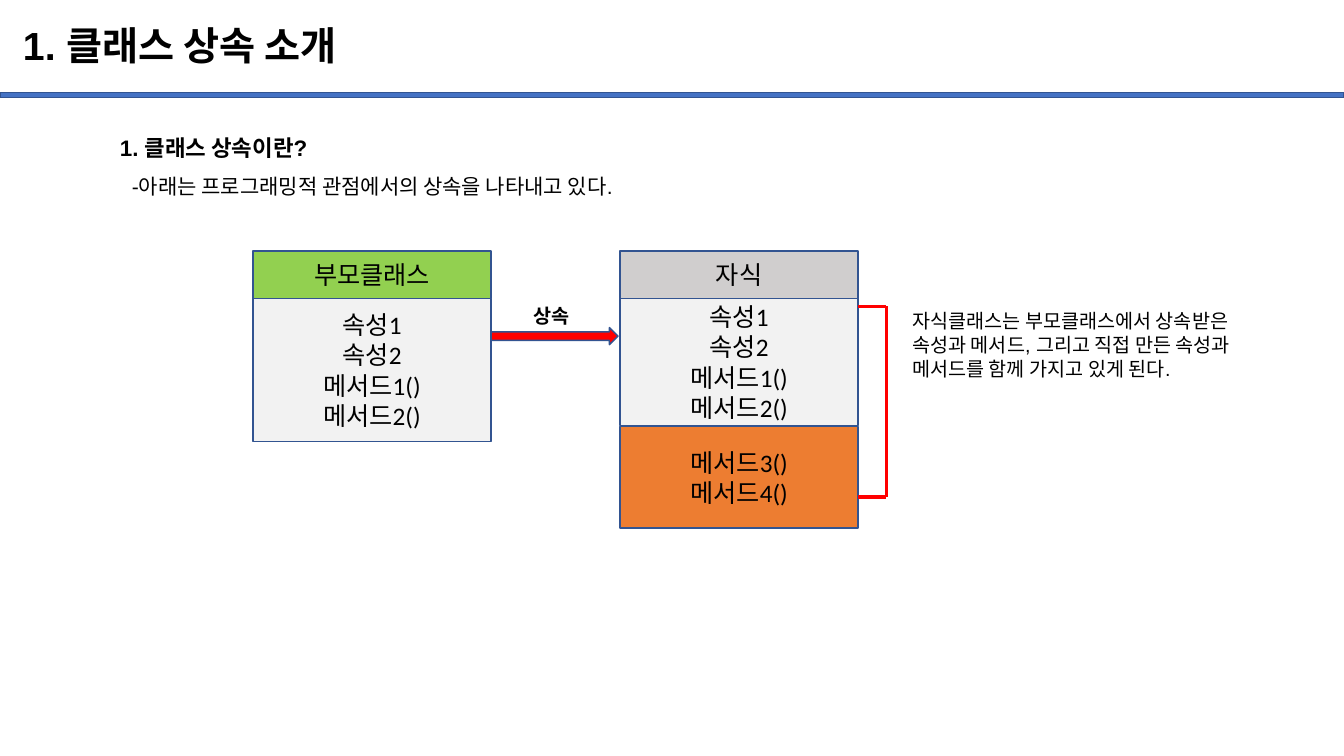
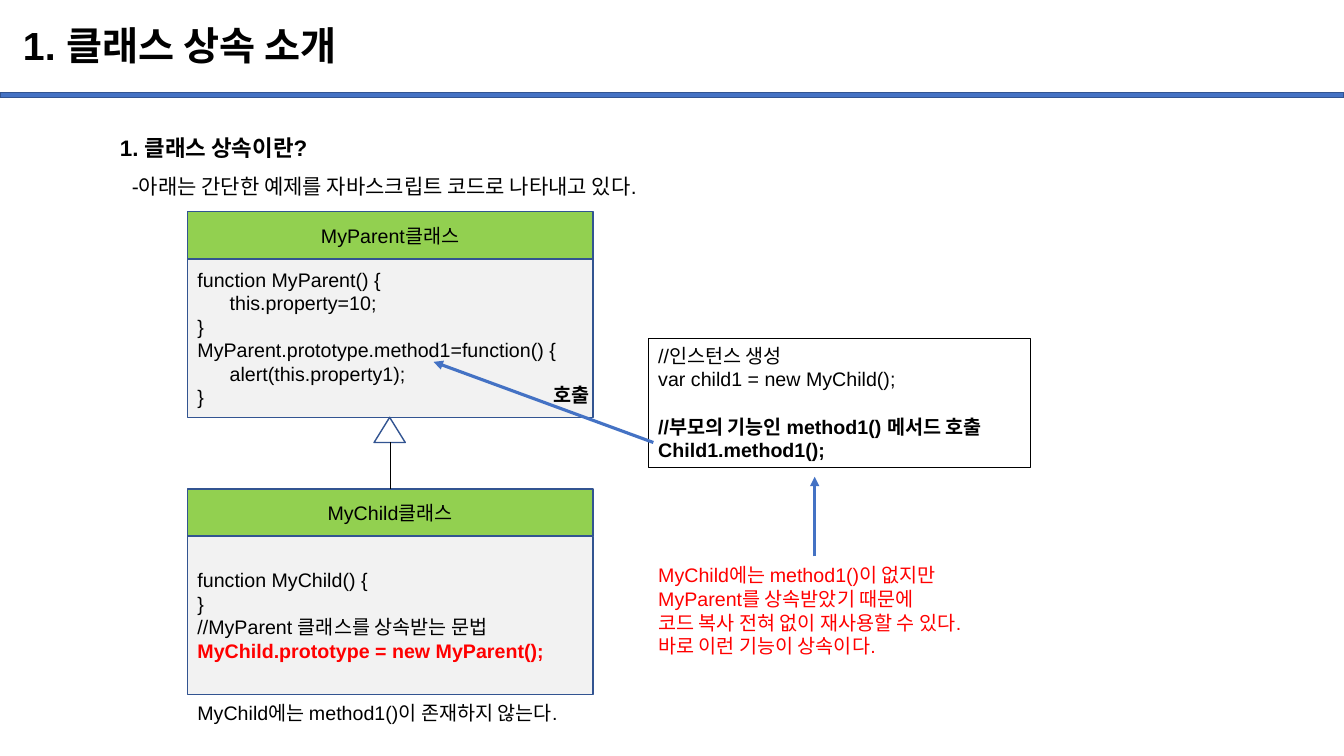
from dataclasses import dataclass

from lxml.etree import SubElement
from pptx import Presentation
from pptx.dml.color import RGBColor
from pptx.enum.shapes import MSO_CONNECTOR, MSO_SHAPE
from pptx.enum.text import MSO_ANCHOR, MSO_AUTO_SIZE, PP_ALIGN
from pptx.oxml.ns import qn
from pptx.util import Inches, Pt

BLACK, RED, BLUE, NAVY = "000000", "FF0000", "4472C4", "325491"
GREEN, SILVER, PALE, ORANGE = "92D050", "D0CECE", "F2F2F2", "ED7D31"
HEADER_HEIGHT = 0.47


def rgb(value):
    return RGBColor.from_string(value)


@dataclass
class Line:
    text: str
    size: float = 14
    bold: bool = False
    color: str = BLACK
    font: str = "Arial"
    indent: float = 0
    before: float = 0
    spacing: float = 1.0


class SlideBuilder:
    def __init__(self, deck):
        self.deck = deck
        self.slide = None

    def new_slide(self, title, heading, summary):
        self.slide = self.deck.slides.add_slide(self.deck.slide_layouts[6])
        self.box(0, 0.92, 13.33, 0.05, BLUE)
        title_box = self.text(0.13, 0.1, 11.5, 0.74, [Line(title, 28, True, spacing=0.9)], wrap=True)
        title_box.text_frame.vertical_anchor = MSO_ANCHOR.MIDDLE
        self.text(1.09, 1.15, 11.72, 0.83, [
            Line(heading, 16, True, spacing=1.5),
            Line(summary, 15, indent=0.12, spacing=1.5),
        ], wrap=True)

    def fill_text(self, frame, lines, align):
        for number, line in enumerate(lines):
            paragraph = frame.paragraphs[0] if number == 0 else frame.add_paragraph()
            paragraph.text = line.text
            paragraph.alignment = align
            paragraph.line_spacing = line.spacing
            paragraph.space_before = Pt(line.before)
            if line.indent:
                paragraph._p.get_or_add_pPr().set("marL", str(Inches(line.indent)))
            for span in paragraph.runs:
                span.font.name = line.font
                span.font.size = Pt(line.size)
                span.font.bold = line.bold
                span.font.color.rgb = rgb(line.color)

    def text(self, left, top, width, height, lines, wrap=False):
        box = self.slide.shapes.add_textbox(Inches(left), Inches(top), Inches(width), Inches(height))
        box.text_frame.word_wrap = wrap
        box.text_frame.auto_size = MSO_AUTO_SIZE.NONE if wrap else MSO_AUTO_SIZE.SHAPE_TO_FIT_TEXT
        self.fill_text(box.text_frame, lines, PP_ALIGN.LEFT)
        return box

    def box(self, left, top, width, height, fill=None, lines=(), align=PP_ALIGN.CENTER,
            kind=MSO_SHAPE.RECTANGLE, line_color=NAVY, line_width=1):
        shape = self.slide.shapes.add_shape(kind, Inches(left), Inches(top), Inches(width), Inches(height))
        shape.shadow.inherit = False
        if fill:
            shape.fill.solid()
            shape.fill.fore_color.rgb = rgb(fill)
        else:
            shape.fill.background()
        shape.line.color.rgb = rgb(line_color)
        shape.line.width = Pt(line_width)
        shape.text_frame.vertical_anchor = MSO_ANCHOR.MIDDLE
        self.fill_text(shape.text_frame, lines, align)
        return shape

    def class_box(self, left, top, width, height, header, fill, lines, align=PP_ALIGN.CENTER):
        self.box(left, top, width, HEADER_HEIGHT, fill, [header])
        self.box(left, top + HEADER_HEIGHT, width, height, PALE, lines, align)

    def connect(self, start, end, color=RED, width=2.25, arrow=False):
        points = [Inches(value) for value in (*start, *end)]
        connector = self.slide.shapes.add_connector(MSO_CONNECTOR.STRAIGHT, *points)
        connector.line.color.rgb = rgb(color)
        connector.line.width = Pt(width)
        if arrow:
            SubElement(connector.line._get_or_add_ln(), qn("a:tailEnd"), type="triangle")
        SubElement(connector._element.spPr, qn("a:effectLst"))


def member_lines(*names):
    return [Line(name, 18, font="Calibri") for name in names]


def inheritance_slide(builder):
    parent_left, child_left, top, width = 2.51, 6.15, 2.49, 2.36
    child_right, bracket_right = child_left + width, 8.79
    bracket_top, bracket_bottom = 3.04, 4.93
    inherited = member_lines("속성1", "속성2", "메서드1()", "메서드2()")

    builder.new_slide("1. 클래스 상속 소개", "1. 클래스 상속이란?",
                      "-아래는 프로그래밍적 관점에서의 상속을 나타내고 있다.")
    builder.class_box(child_left, top, width, 1.26, *member_lines("자식"), SILVER, inherited)
    builder.box(child_left, 4.23, width, 1.01, ORANGE, member_lines("메서드3()", "메서드4()"))
    builder.box(4.87, 3.25, 1.26, 0.17, RED, kind=MSO_SHAPE.RIGHT_ARROW)
    builder.text(8.95, 3.02, 3.73, 0.81, [
        Line("자식클래스는 부모클래스에서 상속받은"),
        Line("속성과 메서드, 그리고 직접 만든 속성과"),
        Line("메서드를 함께 가지고 있게 된다."),
    ])
    builder.class_box(parent_left, top, width, 1.42, *member_lines("부모클래스"), GREEN, inherited)
    for level in (bracket_top, bracket_bottom):
        builder.connect((child_right, level), (bracket_right, level))
    builder.connect((bracket_right, bracket_top), (bracket_right, bracket_bottom))
    builder.text(5.19, 2.97, 0.59, 0.34, [Line("상속", bold=True)])


def example_slide(builder):
    left, width, body_height, code_indent = 1.86, 4.02, 1.57, 0.32
    center = left + width / 2

    builder.new_slide("1. 클래스 상속 소개", "1. 클래스 상속이란?",
                      "-아래는 간단한 예제를 자바스크립트 코드로 나타내고 있다.")
    usage = builder.box(6.43, 3.36, 3.79, 1.28, lines=[
        Line("//인스턴스 생성"),
        Line("var child1 = new MyChild();"),
        Line("//부모의 기능인 method1() 메서드 호출", bold=True, before=17),
        Line("Child1.method1();", bold=True),
    ], align=PP_ALIGN.LEFT, line_color=BLACK, line_width=0.75)
    usage.text_frame.word_wrap = False
    usage.text_frame.vertical_anchor = MSO_ANCHOR.TOP
    builder.class_box(left, 2.1, width, body_height, Line("MyParent클래스"), GREEN, [
        Line("function MyParent() {"),
        Line("this.property=10;", indent=code_indent),
        Line("}"),
        Line("MyParent.prototype.method1=function() {"),
        Line("alert(this.property1);", indent=code_indent),
        Line("}"),
    ], PP_ALIGN.LEFT)
    builder.class_box(left, 4.85, width, body_height, Line("MyChild클래스"), GREEN, [
        Line("function MyChild() {"),
        Line("}"),
        Line("//MyParent 클래스를 상속받는 문법"),
        Line("MyChild.prototype = new MyParent();", bold=True, color=RED),
    ], PP_ALIGN.LEFT)
    builder.box(3.71, 4.14, 0.31, 0.25, kind=MSO_SHAPE.ISOSCELES_TRIANGLE)
    builder.connect((center, 4.39), (center, 4.85), BLACK, 0.75)
    builder.text(6.43, 5.54, 3.6, 1.04, [
        Line("MyChild에는 method1()이 없지만", color=RED),
        Line("MyParent를 상속받았기 때문에", color=RED),
        Line("코드 복사 전혀 없이 재사용할 수 있다.", color=RED),
        Line("바로 이런 기능이 상속이다.", color=RED),
    ])
    builder.connect((8.08, 5.52), (8.08, 4.73), BLUE, arrow=True)
    builder.connect((6.48, 4.39), (4.3, 3.59), BLUE, arrow=True)
    builder.text(5.39, 3.75, 0.59, 0.34, [Line("호출", bold=True)])
    builder.text(left, 6.9, 4.07, 0.34, [Line("MyChild에는 method1()이 존재하지 않는다.")])


deck = Presentation()
deck.slide_width = Inches(13.33)
deck.slide_height = Inches(7.5)
builder = SlideBuilder(deck)
inheritance_slide(builder)
example_slide(builder)
deck.save("out.pptx")
